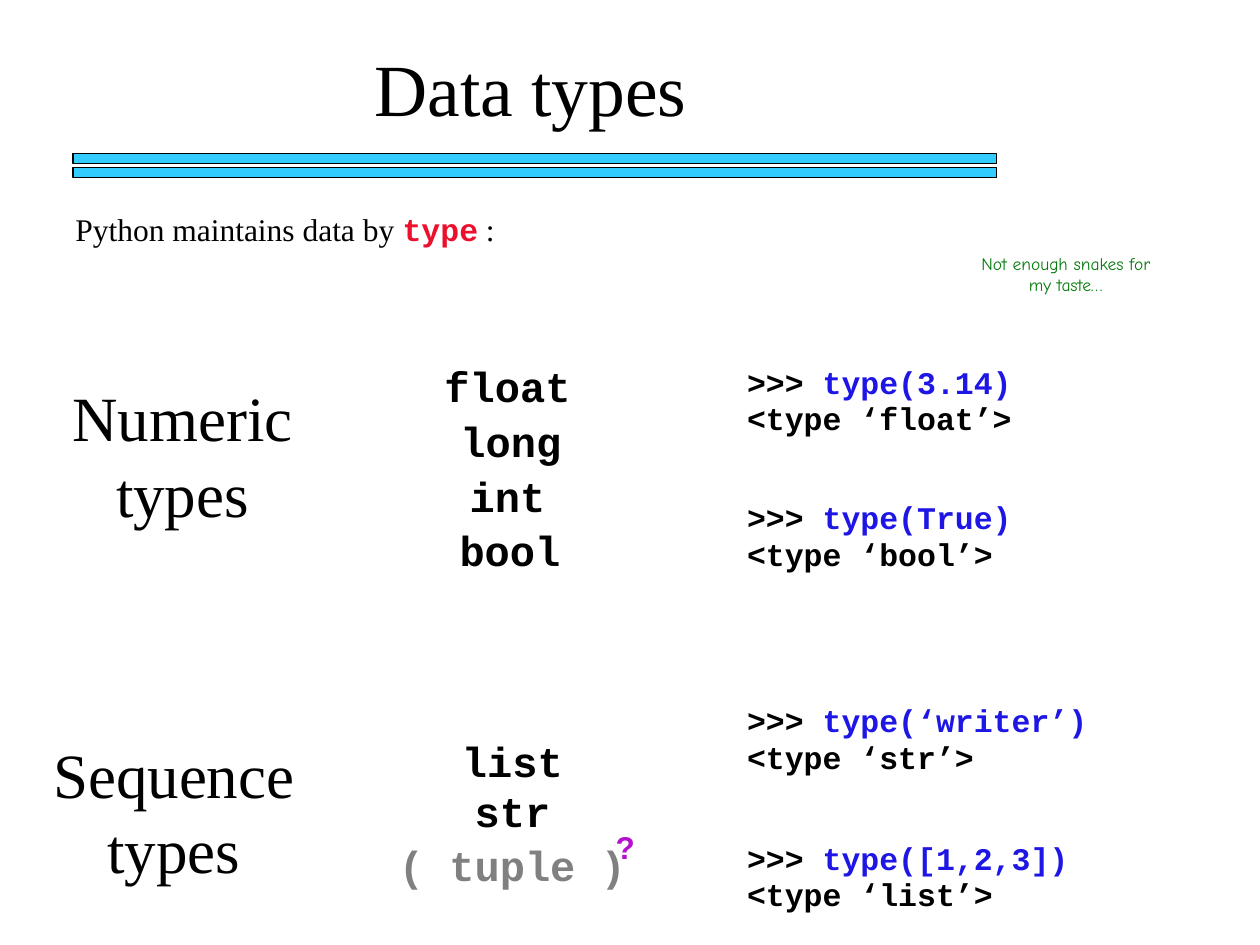
from pptx import Presentation
from pptx.dml.color import RGBColor
from pptx.enum.shapes import MSO_SHAPE
from pptx.enum.text import PP_ALIGN
from pptx.util import Cm, Pt

RECTANGLE = MSO_SHAPE.RECTANGLE
LEFT = PP_ALIGN.LEFT
CENTER = PP_ALIGN.CENTER

BLACK = RGBColor(0x00, 0x00, 0x00)
SKY = RGBColor(0x33, 0xCC, 0xFF)
RED = RGBColor(0xEB, 0x10, 0x2C)
GREEN = RGBColor(0x06, 0x7B, 0x0E)
BLUE = RGBColor(0x1E, 0x16, 0xE4)
GRAY = RGBColor(0x80, 0x80, 0x80)
PURPLE = RGBColor(0xB4, 0x10, 0xCE)

SERIF = "Times New Roman"
MONO = "Courier New"
SANS = "Arial"
HAND = "Comic Neue"


class SlideBuilder:
    text_inset = Cm(0.22)
    bar_size = (18.62, 0.2)
    name_size = (5.72, 1.27)
    code_size = (9.04, 1.4)

    def __init__(self, slide):
        self.slide = slide

    def add_bars(self, left, tops):
        group = self.slide.shapes.add_group_shape()
        width, height = self.bar_size
        for top in tops:
            bar = group.shapes.add_shape(
                RECTANGLE, Cm(left), Cm(top), Cm(width), Cm(height))
            bar.shadow.inherit = False
            bar.fill.solid()
            bar.fill.fore_color.rgb = SKY
            bar.line.color.rgb = BLACK
            bar.line.width = Pt(0.75)

    def add_box(self, left, top, width, height):
        box = self.slide.shapes.add_textbox(
            Cm(left), Cm(top), Cm(width), Cm(height))
        box.text_frame.word_wrap = True
        box.text_frame.margin_top = self.text_inset
        return box.text_frame

    def add_run(self, paragraph, text, size, name, color=BLACK, bold=False):
        run = paragraph.add_run()
        run.text = text
        run.font.size = Pt(size)
        run.font.name = name
        run.font.bold = bold
        run.font.color.rgb = color

    def add_label(self, left, top, width, height, text, size, name,
                  color=BLACK, bold=False):
        paragraph = self.add_box(left, top, width, height).paragraphs[0]
        paragraph.alignment = CENTER
        self.add_run(paragraph, text, size, name, color, bold)

    def add_intro(self, left, top, width, height):
        paragraph = self.add_box(left, top, width, height).paragraphs[0]
        paragraph.alignment = LEFT
        self.add_run(paragraph, "Python maintains data by ", 18, SERIF)
        self.add_run(paragraph, "type", 18, MONO, RED, True)
        self.add_run(paragraph, " :", 18, SERIF)

    def add_type_name(self, left, top, text, color=BLACK):
        self.add_label(left, top, *self.name_size, text, 24, MONO, color, True)

    def add_example(self, left, top, value, type_name):
        text_frame = self.add_box(left, top, *self.code_size)
        call = text_frame.paragraphs[0]
        self.add_run(call, ">>> ", 18, MONO, BLACK, True)
        self.add_run(call, f"type({value})", 18, MONO, BLUE, True)
        answer = text_frame.add_paragraph()
        answer.space_before = Pt(10)
        self.add_run(answer, f"<type ‘{type_name}’>", 18, MONO, BLACK, True)
        for paragraph in (call, answer):
            paragraph.line_spacing = 0.5


def main():
    presentation = Presentation()
    presentation.slide_width = Cm(25.4)
    presentation.slide_height = Cm(19.05)
    slide = presentation.slides.add_slide(presentation.slide_layouts[6])
    builder = SlideBuilder(slide)

    builder.add_bars(1.47, (3.1, 3.38))
    builder.add_label(4.45, 0.64, 12.5, 2.03, "Data types", 42, SERIF)
    builder.add_intro(1.27, 4.01, 17.78, 1.02)
    builder.add_label(1.04, 7.42, 5.28, 3.3, "Numeric types", 36, SERIF)
    builder.add_label(0.43, 14.6, 6.15, 3.3, "Sequence types", 36, SERIF)
    builder.add_label(19.48, 4.88, 4.01, 1.09,
                      "Not enough snakes for my taste…", 10, HAND, GREEN)

    for left, top, text, color in (
        (7.37, 7.04, "float", BLACK),
        (7.44, 8.15, "long", BLACK),
        (7.37, 9.27, "int", BLACK),
        (7.42, 10.36, "bool", BLACK),
        (7.47, 14.6, "list", BLACK),
        (7.47, 15.62, "str", BLACK),
        (7.47, 16.71, "( tuple )", GRAY),
    ):
        builder.add_type_name(left, top, text, color)

    for top, value, type_name in (
        (7.42, "3.14", "float"),
        (10.16, "True", "bool"),
        (14.25, "‘writer’", "str"),
        (17.02, "[1,2,3]", "list"),
    ):
        builder.add_example(14.81, top, value, type_name)

    builder.add_label(12.07, 16.48, 1.07, 1.02, "?", 18, SANS, PURPLE, True)
    presentation.save("out.pptx")


if __name__ == "__main__":
    main()
